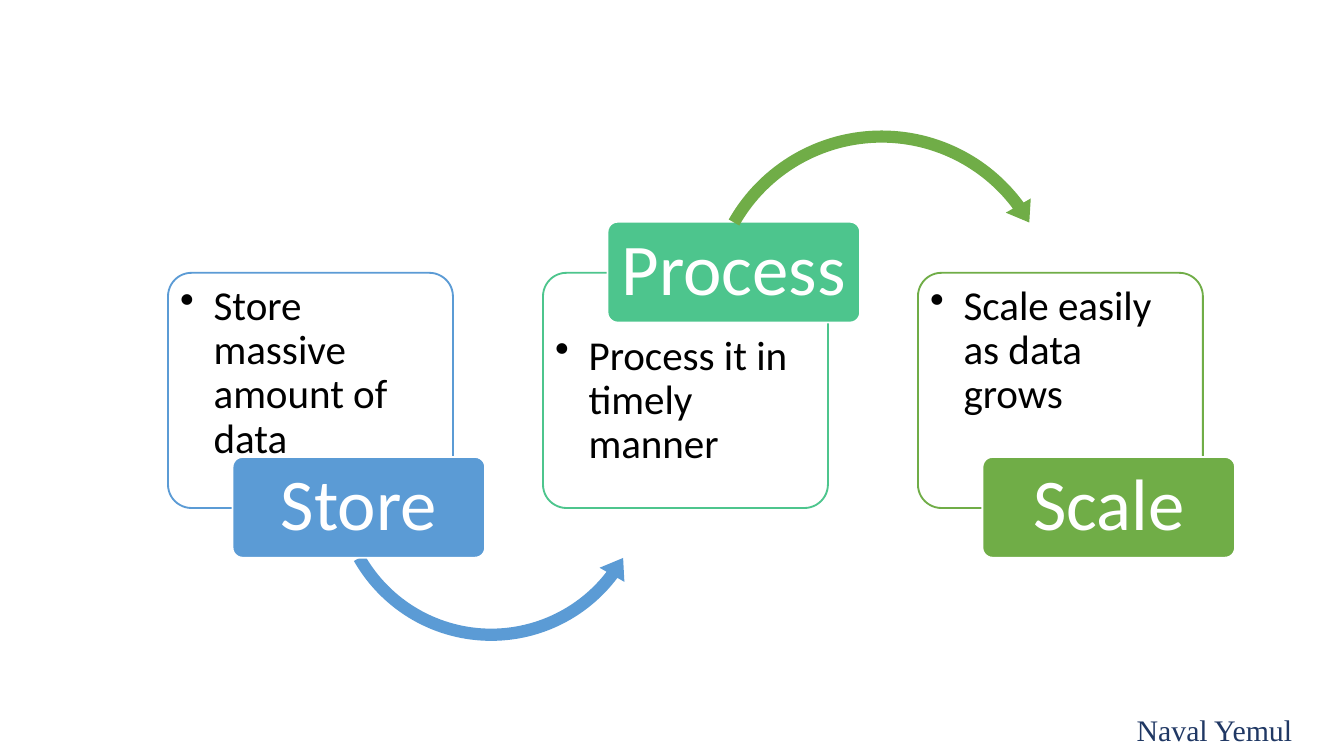
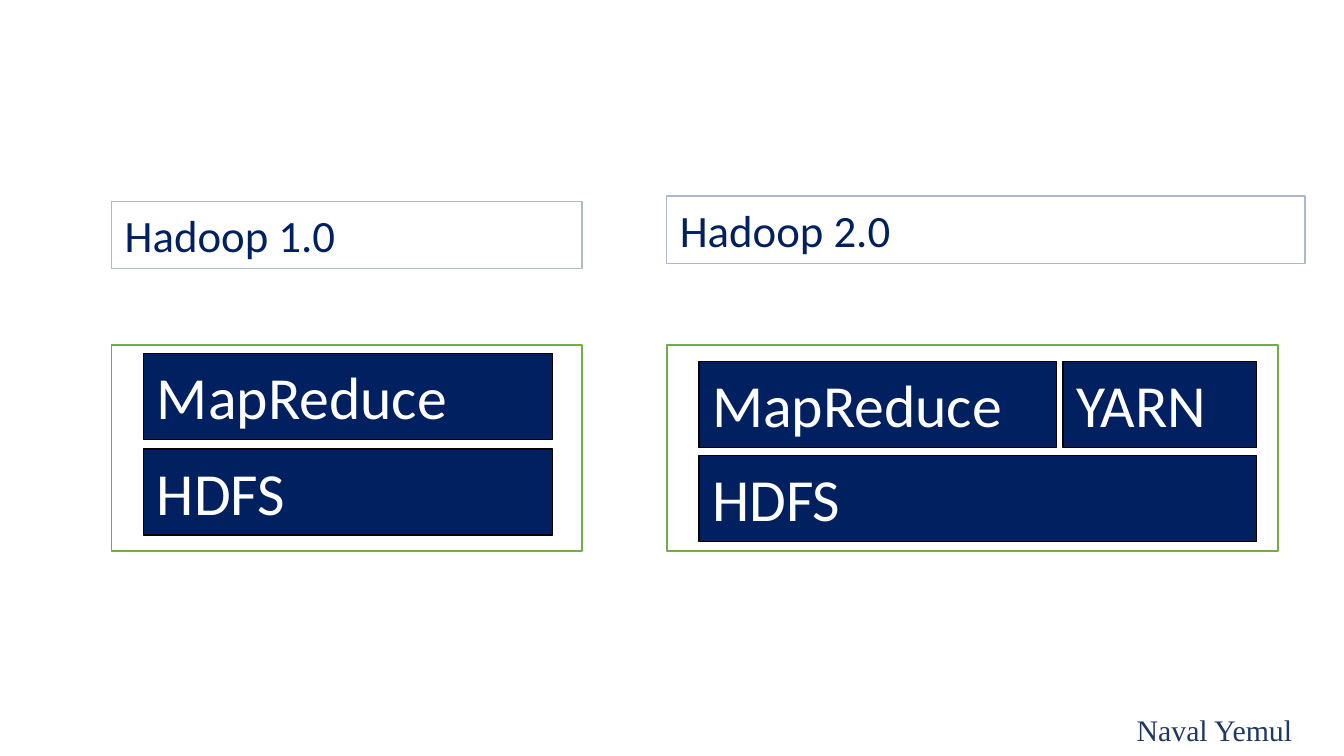
import pptx
import pptx.util
import pptx.dml.color
import pptx.enum.shapes
import pptx.enum.text
import pptx.oxml
import pptx.oxml.ns

KIND = pptx.enum.shapes.MSO_SHAPE
ALIGN = pptx.enum.text.PP_ALIGN
ANCHOR = pptx.enum.text.MSO_ANCHOR
FIT = pptx.enum.text.MSO_AUTO_SIZE

# Square grid: 100 columns and 56.25 rows
WIDE, HIGH = pptx.util.Inches(10), pptx.util.Inches(5.625)
CELL = WIDE / 100

WHITE, BLACK, NAVY = "FFFFFF", "000000", "002060"
BLUE, MINT, GREEN = "5B9BD5", "4DC58D", "70AD47"
PALE, INK = "ADB9CA", "203864"
SANS, SERIF = "Calibri", "Times New Roman"


def grid(n):
    return pptx.util.Emu(round(n * CELL))


def color(code):
    return pptx.dml.color.RGBColor.from_string(code)


def shape(home, kind, area, fill, line=None, width=1, adj=()):
    item = home.add_shape(kind, *map(grid, area))
    item.shadow.inherit = False
    item.fill.solid()
    item.fill.fore_color.rgb = color(fill)
    if line:
        item.line.color.rgb = color(line)
        item.line.width = pptx.util.Pt(width)
    else:
        item.line.fill.background()
    for i, value in enumerate(adj):
        item.adjustments[i] = value
    return item


def write(item, text, size, ink, font=SANS, align=ALIGN.LEFT,
          anchor=ANCHOR.TOP, pad=(1, 0.5), fit=FIT.NONE, bullet=False):
    frame = item.text_frame
    frame.word_wrap = True
    frame.auto_size = fit
    frame.vertical_anchor = anchor
    frame.margin_left = frame.margin_right = grid(pad[0])
    frame.margin_top = frame.margin_bottom = grid(pad[1])
    para = frame.paragraphs[0]
    para.alignment = align
    if bullet:
        props = para._p.get_or_add_pPr()
        props.set("marL", str(grid(2.5)))
        props.set("indent", str(-grid(2.5)))
        mark = pptx.oxml.parse_xml(
            f'<a:buChar {pptx.oxml.ns.nsdecls("a")} char="•"/>')
        props.append(mark)
    run = para.add_run()
    run.text = text
    run.font.size = pptx.util.Pt(size)
    run.font.name = font
    run.font.color.rgb = color(ink)
    return para


def fade(item, share):
    tone = item.fill._xPr.find(".//" + pptx.oxml.ns.qn("a:srgbClr"))
    tone.append(pptx.oxml.parse_xml(
        f'<a:alpha {pptx.oxml.ns.nsdecls("a")} val="{share * 1000}"/>'))


def inset(home, area, gap):
    x, y, w, h = area
    return home.add_textbox(
        *map(grid, (x + gap, y + gap, w - 2 * gap, h - 2 * gap)))


def box(slide, text, area, size, ink, fill, line=None, font=SANS):
    item = shape(slide.shapes, KIND.RECTANGLE, area, fill, line, 0.75)
    write(item, text, size, ink, font, fit=FIT.SHAPE_TO_FIT_TEXT)


def foot(slide):
    box(slide, "Naval Yemul", (83.6, 52.5, 16.3, 3.7), 16, INK, WHITE,
        font=SERIF)


def card(home, col, name, text, hue, top=False, arrow=None):
    x = 12.5 + 27.9 * col
    # Outlined card and its bullet, clear of the tag
    back = shape(home, KIND.ROUNDED_RECTANGLE, (x, 20.3, 21.2, 17.5),
                 WHITE, hue, adj=[0.1])
    fade(back, 90)
    body = inset(home, (x, 24 if top else 20.3, 21.2, 13.7), 0.4)
    para = write(body, text, 22, BLACK, pad=(0.5, 0.5), bullet=True)
    para.line_spacing = 0.9
    # Arrow to the next card
    if arrow:
        kind, area, adj = arrow
        shape(home, kind, area, hue, adj=adj)
    # Tag on the card's edge
    area = (x + 4.8, 16.5 if top else 34, 18.8, 7.5)
    shape(home, KIND.ROUNDED_RECTANGLE, area, hue, WHITE, adj=[0.1])
    label = inset(home, area, 0.2)
    para = write(label, name, 39, WHITE, align=ALIGN.CENTER,
                 anchor=ANCHOR.MIDDLE, pad=(0.8, 0.5))
    para.line_spacing = 0.9


def steps(slide):
    home = slide.shapes.add_group_shape().shapes
    under = (KIND.LEFT_CIRCULAR_ARROW, (24.2, 23.6, 24.7, 24.7),
             (0.037, 4.574, 22.329, 90.245, 0.043))
    over = (KIND.CIRCULAR_ARROW, (51.9, 9.1, 27.4, 27.4),
            (0.033, 4.086, 194.159, 125.755, 0.039))
    card(home, 0, "Store", "Store massive amount of data", BLUE, arrow=under)
    card(home, 1, "Process", "Process it in timely manner", MINT, top=True)
    # The upper arrow belongs to the second card but has the third one's hue
    kind, area, adj = over
    shape(home, kind, area, GREEN, adj=adj)
    card(home, 2, "Scale", "Scale easily as data grows", GREEN)


def stack(slide, name, x, head, wide, parts):
    # Heading: top row and width
    box(slide, name, (x, head[0], head[1], 5), 24, NAVY, WHITE, PALE)
    # Frame and its layers: name, column, row, width
    shape(slide.shapes, KIND.RECTANGLE, (x, 25.7, wide, 15.3), WHITE, GREEN)
    for text, col, row, w in parts:
        box(slide, text, (x + col, row, w, 6.4), 32, WHITE, NAVY, BLACK)


def main():
    deck = pptx.Presentation()
    deck.slide_width, deck.slide_height = WIDE, HIGH
    blank = deck.slide_layouts[6]

    # Three steps
    slide = deck.slides.add_slide(blank)
    steps(slide)
    foot(slide)

    # Two versions side by side
    slide = deck.slides.add_slide(blank)
    stack(slide, "Hadoop 1.0", 8.3, (15, 35), 35,
          [("MapReduce", 2.4, 26.3, 30.4), ("HDFS", 2.4, 33.4, 30.4)])
    stack(slide, "Hadoop 2.0", 49.6, (14.6, 47.5), 45.5,
          [("MapReduce", 2.4, 26.9, 26.6), ("HDFS", 2.4, 33.9, 41.5),
           ("YARN", 29.5, 26.9, 14.4)])
    foot(slide)

    deck.save("out.pptx")


if __name__ == "__main__":
    main()
